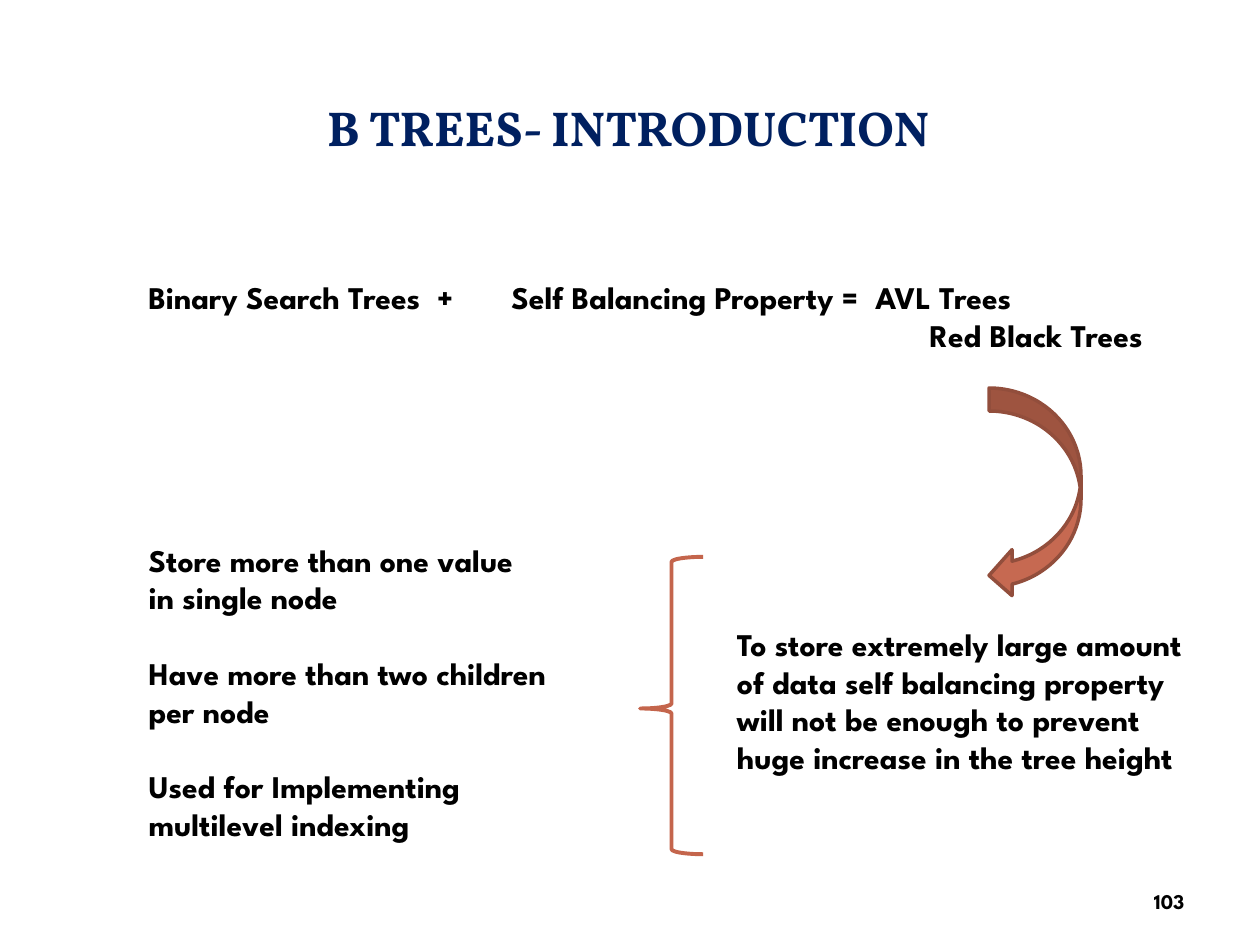
from dataclasses import dataclass

from lxml.etree import SubElement
from pptx import Presentation
from pptx.dml.color import RGBColor
from pptx.enum.shapes import MSO_SHAPE
from pptx.enum.text import MSO_ANCHOR, MSO_AUTO_SIZE, PP_ALIGN
from pptx.oxml.ns import qn
from pptx.util import Inches, Pt


@dataclass(frozen=True)
class Theme:
    white = RGBColor.from_string("FFFFFF")
    navy = RGBColor.from_string("002060")
    black = RGBColor.from_string("000000")
    rust = RGBColor.from_string("C66951")
    rust_dark = RGBColor.from_string("924E3C")
    brace = RGBColor.from_string("C4654C")
    title = {"name": "Vollkorn", "size": Pt(28), "bold": True}
    body = {"name": "League Spartan", "size": Pt(18), "bold": True}
    number = {"name": "League Spartan", "size": Pt(12), "bold": True}


THEME = Theme()

FORMULA = [
    "Binary Search Trees\t+\tSelf Balancing Property =\tAVL Trees",
    "\tRed Black Trees",
]
FORMULA_TABS = [[2.29, 2.88, 5.77], [6.2]]
FEATURES = [
    ["Store more than one value", "in single node"],
    ["Have more than two children", "per node"],
    ["Used for Implementing", "multilevel indexing"],
]
REASON = [
    "To store extremely large amount",
    "of data self balancing property",
    "will not be enough to prevent",
    "huge increase in the tree height",
]


def place(shape, left, top, width, height):
    bounds = {"left": left, "top": top, "width": width, "height": height}
    for name, value in bounds.items():
        setattr(shape, name, Inches(value))


def write_lines(shape, lines, font, color, align=PP_ALIGN.LEFT, anchor=MSO_ANCHOR.TOP):
    """Write one paragraph for each line and return the paragraphs."""
    frame = shape.text_frame
    frame_format = {"word_wrap": True, "auto_size": MSO_AUTO_SIZE.NONE,
                    "vertical_anchor": anchor}
    for name, value in frame_format.items():
        setattr(frame, name, value)
    frame.text = "\n".join(lines)
    for para in frame.paragraphs:
        para.alignment = align
        para.space_before = Pt(0)
        for span in para.runs:
            for name, value in font.items():
                setattr(span.font, name, value)
            span.font.color.rgb = color
    return frame.paragraphs


def add_text(page, bounds, lines, font, **layout):
    box = page.shapes.add_textbox(*map(Inches, bounds))
    return write_lines(box, lines, font, THEME.black, **layout)


def set_tab_stops(para, positions):
    tab_list = SubElement(para._p.get_or_add_pPr(), qn("a:tabLst"))
    for position in positions:
        SubElement(tab_list, qn("a:tab"), pos=str(Inches(position)), algn="l")


def remove_bullet(para):
    properties = para._p.get_or_add_pPr()
    properties.set("marL", "0")
    properties.set("indent", "0")
    SubElement(properties, qn("a:buNone"))


def add_features(body):
    """Fill the list, with a line's gap above every point but the first."""
    place(body, 1.08, 4.24, 3.81, 2.52)
    lines = [line for point in FEATURES for line in point]
    paragraphs = write_lines(body, lines, THEME.body, THEME.black)
    for para in paragraphs:
        remove_bullet(para)
    first_line = 0
    for point in FEATURES[:-1]:
        first_line += len(point)
        paragraphs[first_line].space_before = Pt(21.6)


def add_figure(page, kind, bounds, fill=None, line_color=None, line_width=0):
    shape = page.shapes.add_shape(kind, *map(Inches, bounds))
    shape.shadow.inherit = False
    if fill is None:
        shape.fill.background()
    else:
        shape.fill.solid()
        shape.fill.fore_color.rgb = fill
    if line_color is None:
        shape.line.fill.background()
    else:
        shape.line.color.rgb = line_color
        shape.line.width = Pt(line_width)
    return shape


def add_panels(page):
    """Lay the slide card and the title frame behind the placeholders."""
    card = add_figure(page, MSO_SHAPE.ROUNDED_RECTANGLE, (0.1, 0.11, 9.8, 7.29), THEME.white)
    card.adjustments[0] = 0.02
    frame = add_figure(page, MSO_SHAPE.RECTANGLE, (0.3, 0.3, 9.4, 1.45), THEME.white)
    color = frame.fill._xPr.find(f".//{qn('a:srgbClr')}")
    SubElement(color, qn("a:alpha"), val="83000")
    inner = add_figure(page, MSO_SHAPE.RECTANGLE, (0.41, 0.41, 9.17, 1.22), THEME.white)
    first_drawn = page.placeholders[0]._element
    for panel in (card, frame, inner):
        first_drawn.addprevious(panel._element)


def main():
    deck = Presentation()
    deck.slide_width, deck.slide_height = Inches(10), Inches(7.5)
    page = deck.slides.add_slide(deck.slide_layouts[1])
    title, body = page.placeholders
    add_panels(page)

    place(title, 0.47, 0.44, 9.03, 1.14)
    write_lines(title, ["B TREES- INTRODUCTION"], THEME.title, THEME.navy,
                align=PP_ALIGN.CENTER, anchor=MSO_ANCHOR.MIDDLE)
    add_features(body)

    formula = add_text(page, (1.08, 2.16, 8.37, 0.71), FORMULA, THEME.body)
    for para, positions in zip(formula, FORMULA_TABS):
        set_tab_stops(para, positions)
    add_text(page, (5.75, 4.91, 4.21, 1.31), REASON, THEME.body)
    add_text(page, (7.17, 6.95, 2.33, 0.4), ["103"], THEME.number,
             align=PP_ALIGN.RIGHT, anchor=MSO_ANCHOR.MIDDLE)

    add_figure(page, MSO_SHAPE.CURVED_LEFT_ARROW, (7.85, 3.08, 0.73, 1.67),
               THEME.rust, THEME.rust_dark, 2)
    brace = add_figure(page, MSO_SHAPE.LEFT_BRACE, (5.08, 4.42, 0.5, 2.36),
                       line_color=THEME.brace, line_width=2.25)
    brace.adjustments[0] = 0.08
    brace.adjustments[1] = 0.51

    deck.save("out.pptx")


if __name__ == "__main__":
    main()
